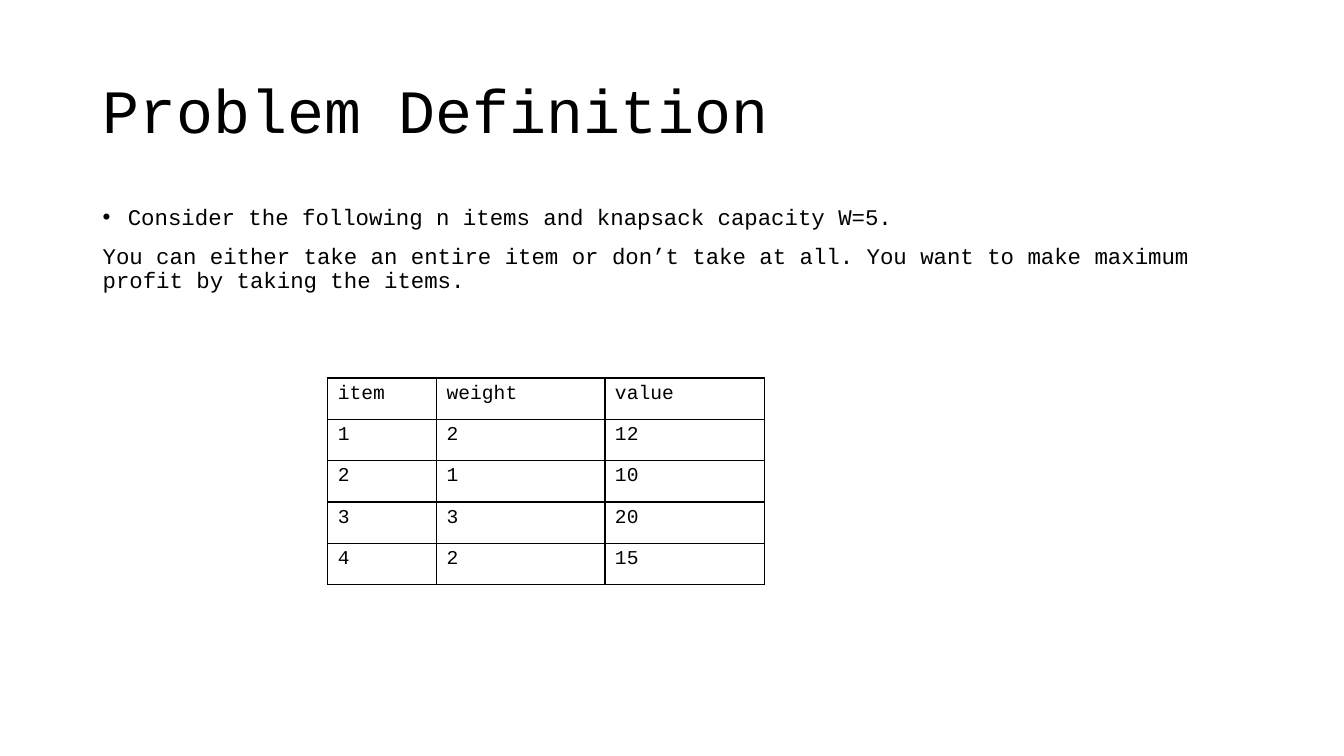
from lxml import etree
from pptx import Presentation
from pptx.dml.color import RGBColor
from pptx.enum.text import MSO_ANCHOR
from pptx.oxml.ns import qn
from pptx.util import Inches, Pt

# Content
TITLE = "Problem Definition"
STATEMENT = [
    "Consider the following n items and knapsack capacity W=5.",
    "You can either take an entire item or don’t take at all. "
    "You want to make maximum profit by taking the items.",
]
ITEMS = [
    ("item", "weight", "value"),
    (1, 2, 12),
    (2, 1, 10),
    (3, 3, 20),
    (4, 2, 15),
]

# Layout and style
FONT = "Courier New"
BLACK = RGBColor(0, 0, 0)
LEFT, WIDTH = 0.92, 11.5
TABLE_LEFT, TABLE_TOP = 3.25, 3.75
COLUMN_WIDTHS = (1.08, 1.67, 1.58)
ROW_HEIGHT = 0.41
LINE_SPACING = 0.9
MIDDLE, TOP = MSO_ANCHOR.MIDDLE, MSO_ANCHOR.TOP


def style(paragraph, size):
    for run in paragraph.runs:
        run.font.name = FONT
        run.font.size = Pt(size)
        run.font.color.rgb = BLACK


def add_text(slide, top, height, lines, size, anchor, space_before=0):
    frame = slide.shapes.add_textbox(
        Inches(LEFT), Inches(top), Inches(WIDTH), Inches(height)).text_frame
    frame.word_wrap = True
    frame.vertical_anchor = anchor
    frame.text = "\n".join(lines)
    for paragraph in frame.paragraphs:
        paragraph.line_spacing = LINE_SPACING
        paragraph.space_before = Pt(space_before)
        style(paragraph, size)
    return frame


def add_bullet(paragraph):
    properties = paragraph._p.get_or_add_pPr()
    properties.set("marL", str(Inches(0.25)))
    properties.set("indent", str(Inches(-0.25)))
    etree.SubElement(properties, qn("a:buFont"), typeface="Arial")
    etree.SubElement(properties, qn("a:buChar"), char="•")


def add_borders(cell):
    properties = cell._tc.get_or_add_tcPr()
    for position, side in enumerate(("a:lnL", "a:lnR", "a:lnT", "a:lnB")):
        line = etree.Element(qn(side), w=str(Pt(1)))
        fill = etree.SubElement(line, qn("a:solidFill"))
        etree.SubElement(fill, qn("a:srgbClr"), val=str(BLACK))
        properties.insert(position, line)


def add_items_table(slide):
    table = slide.shapes.add_table(
        len(ITEMS), len(COLUMN_WIDTHS), Inches(TABLE_LEFT), Inches(TABLE_TOP),
        Inches(sum(COLUMN_WIDTHS)), Inches(ROW_HEIGHT * len(ITEMS))).table
    table.first_row = table.horz_banding = False
    for column, width in zip(table.columns, COLUMN_WIDTHS):
        column.width = Inches(width)
    for row, values in zip(table.rows, ITEMS):
        row.height = Inches(ROW_HEIGHT)
        for cell, value in zip(row.cells, values):
            cell.text = str(value)
            style(cell.text_frame.paragraphs[0], 14)
            cell.fill.background()
            add_borders(cell)


def main():
    deck = Presentation()
    deck.slide_width, deck.slide_height = Inches(13.33), Inches(7.5)
    slide = deck.slides.add_slide(deck.slide_layouts[6])

    # Title and problem statement
    add_text(slide, 0.4, 1.45, [TITLE], 44, MIDDLE)
    statement = add_text(slide, 2, 4.76, STATEMENT, 16, TOP, space_before=10)
    add_bullet(statement.paragraphs[0])

    # Knapsack items
    add_items_table(slide)
    deck.save("out.pptx")


if __name__ == "__main__":
    main()
